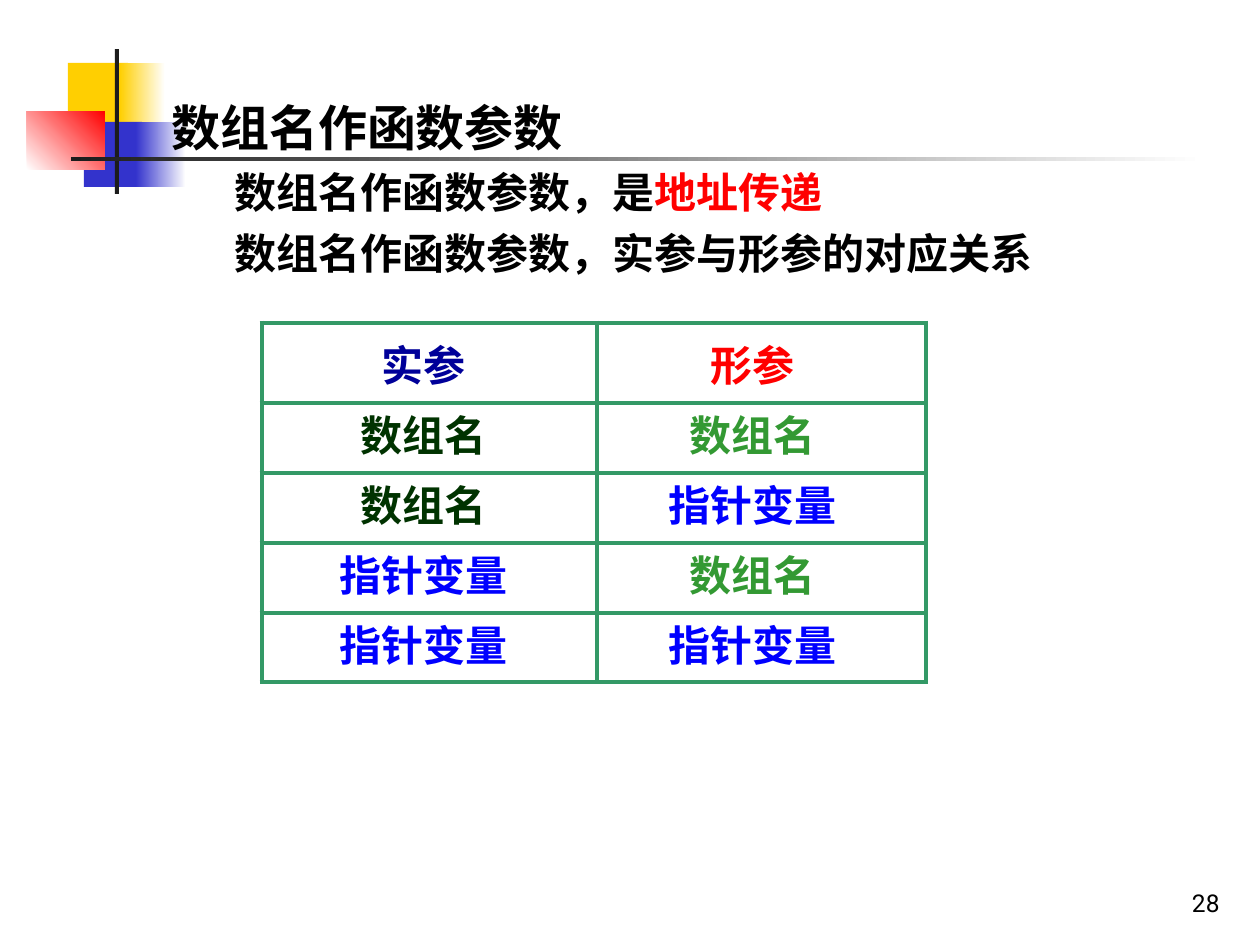
import pptx
import pptx.dml.color
import pptx.enum.shapes
import pptx.enum.text
import pptx.oxml
import pptx.util
import lxml.etree

PX = 914400 // 126
GREEN = "339966"
NS = "http://schemas.openxmlformats.org/drawingml/2006/main"


def rgb(code):
    return pptx.dml.color.RGBColor.from_string(code)


def style(run, size, color, bold=True, face="Roboto"):
    run.font.size = pptx.util.Pt(size)
    run.font.bold = bold
    run.font.name = face
    run.font.color.rgb = rgb(color)


deck = pptx.Presentation()
deck.slide_width = 1260 * PX
deck.slide_height = 945 * PX
slide = deck.slides.add_slide(deck.slide_layouts[6])
shapes = slide.shapes

blocks = [
    (68, 63, 60, 66, ["FFCF01"], 0),
    (120, 63, 45, 66, ["FFCF01", "FFFFFF"], 0),
    (84, 122, 58, 65, ["3333CC"], 0),
    (136, 122, 50, 65, ["3333CC", "FFFFFF"], 0),
    (27, 111, 78, 59, ["FFFFFF", "FF0000"], 45),
    (115, 49, 4, 145, ["1C1C1C"], 0),
    (71, 157, 1134, 4, ["1C1C1C", "FFFFFF"], 0),
]
for left, top, width, height, colors, angle in blocks:
    block = shapes.add_shape(
        pptx.enum.shapes.MSO_SHAPE.RECTANGLE,
        left * PX, top * PX, width * PX, height * PX)
    block.shadow.inherit = False
    block.line.fill.background()
    if len(colors) == 1:
        block.fill.solid()
        block.fill.fore_color.rgb = rgb(colors[0])
    else:
        block.fill.gradient()
        block.fill.gradient_angle = angle
        for stop, color in zip(block.fill.gradient_stops, colors):
            stop.color.rgb = rgb(color)

body = shapes.add_textbox(96 * PX, 91 * PX, 1188 * PX, 399 * PX).text_frame
body.word_wrap = True
body.text = "数组名作函数参数\n数组名作函数参数，是\n数组名作函数参数，实参与形参的对应关系"
for row, par in enumerate(body.paragraphs):
    props = par._p.get_or_add_pPr()
    props.set("marL", str((157 if row else 102) * PX))
    props.set("indent", str((-31 if row else -39) * PX))
    if row:
        par.level = 1
        par.space_before = pptx.util.Pt(6)
    style(par.runs[0], 24 if row else 28, "000000")
accent = body.paragraphs[1].add_run()
accent.text = "地址传递"
style(accent, 24, "FF0000")

cells = [
    [("实参", "000099"), ("形参", "FF0000")],
    [("数组名", "003300"), ("数组名", "339933")],
    [("数组名", "003300"), ("指针变量", "0000FF")],
    [("指针变量", "0000FF"), ("数组名", "339933")],
    [("指针变量", "0000FF"), ("指针变量", "0000FF")],
]
widths = [335, 329]
heights = [80, 70, 70, 70, 69]
table = shapes.add_table(
    len(heights), len(widths), 262 * PX, 323 * PX,
    sum(widths) * PX, sum(heights) * PX).table
for col, width in enumerate(widths):
    table.columns[col].width = width * PX
for row, height in enumerate(heights):
    table.rows[row].height = height * PX
    for col, (text, color) in enumerate(cells[row]):
        cell = table.cell(row, col)
        cell.fill.solid()
        cell.fill.fore_color.rgb = rgb("FFFFFF")
        cell.vertical_anchor = pptx.enum.text.MSO_ANCHOR.MIDDLE
        cell.margin_left = cell.margin_top = 0
        cell.margin_right = (18 if col else 12) * PX
        cell.margin_bottom = (11 if row else 0) * PX
        cell.text_frame.text = text
        par = cell.text_frame.paragraphs[0]
        par.alignment = pptx.enum.text.PP_ALIGN.CENTER
        style(par.runs[0], 24, color, face="Times New Roman")
        props = cell._tc.get_or_add_tcPr()
        for spot, side in enumerate(["lnL", "lnR", "lnT", "lnB"]):
            props.insert(spot, lxml.etree.fromstring(
                f'<a:{side} xmlns:a="{NS}" w="38100"><a:solidFill>'
                f'<a:srgbClr val="{GREEN}"/></a:solidFill></a:{side}>'))

page = shapes.add_textbox(970 * PX, 861 * PX, 262 * PX, 63 * PX).text_frame
page.word_wrap = True
page.vertical_anchor = pptx.enum.text.MSO_ANCHOR.BOTTOM
page.text = "28"
page.paragraphs[0].alignment = pptx.enum.text.PP_ALIGN.RIGHT
style(page.paragraphs[0].runs[0], 14, "000000", bold=False)

deck.save("out.pptx")
